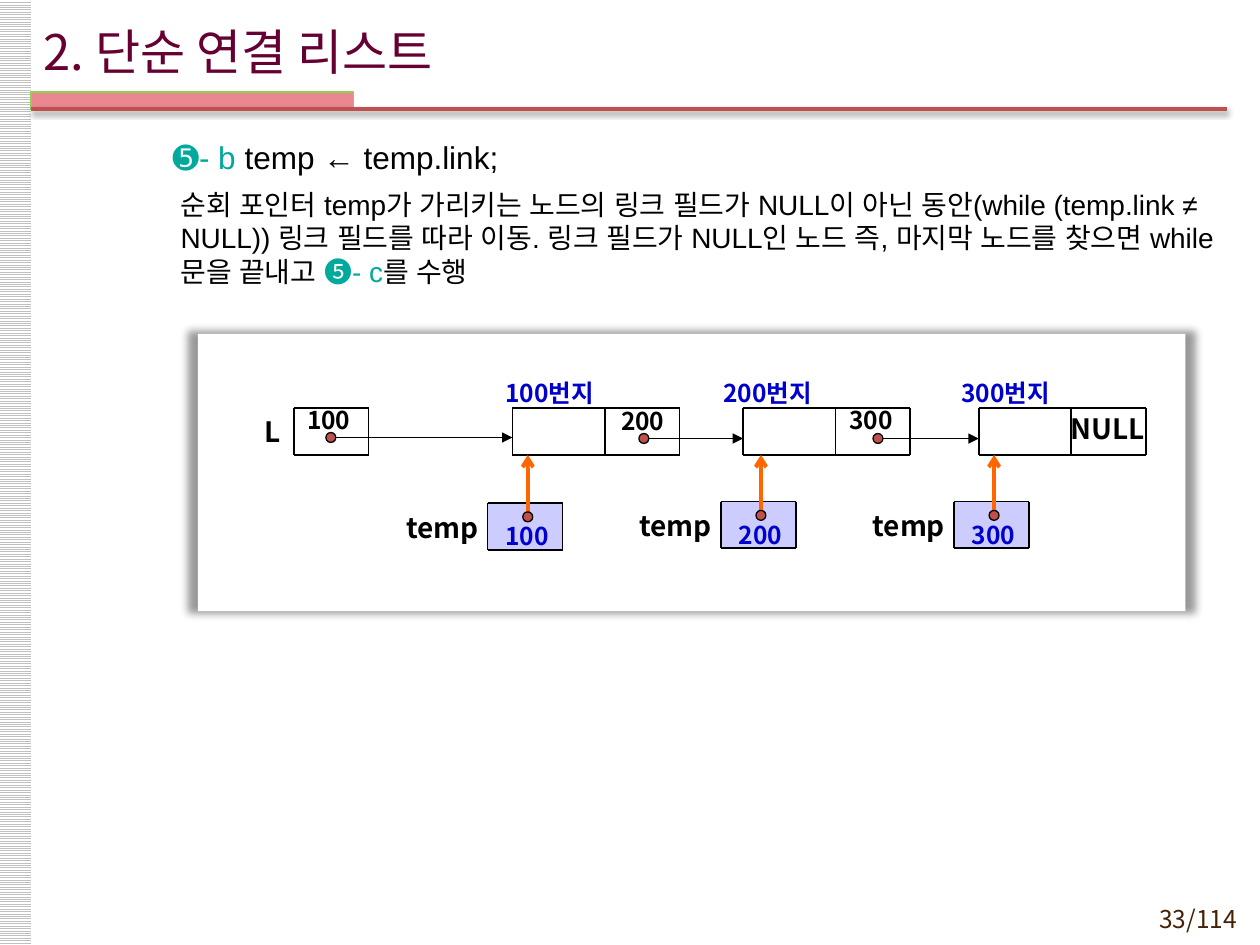
"""Builds the slide that follows temp along a singly linked list."""
from dataclasses import dataclass

from lxml import etree
from pptx import Presentation, util as u
from pptx.dml.color import RGBColor
from pptx.enum import dml, shapes, text
from pptx.oxml.ns import qn


@dataclass(frozen=True)
class Theme:
    korean: str = "Noto Sans CJK KR"
    latin: str = "Arial"
    black: str = "000000"
    white: str = "FFFFFF"
    title: str = "660033"
    page: str = "452103"
    accent: str = "00A99D"
    address: str = "0000CC"
    pointer: str = "FF6600"
    dot: str = "C0504D"
    rule: str = "C0504D"
    tab: str = "EA8892"
    tab_edge: str = "92D050"
    temp: str = "CCCCFF"
    stripe: str = "C0C0C0"
    title_size: int = 28
    step_size: int = 18
    body_size: int = 16
    value_size: int = 14


def rgb(value):
    return RGBColor.from_string(value)


def add_run(paragraph, words, *, size, color, font, bold=False):
    run = paragraph.add_run()
    run.text = words
    run.font.size, run.font.bold, run.font.name = u.Pt(size), bold, font
    run.font.color.rgb = rgb(color)
    run.font._element.set("kern", "0")
    etree.SubElement(run.font._element, qn("a:ea"), typeface=font)


def add_shadow(shape, alpha, **settings):
    effects = shape._element.spPr.find(qn("a:effectLst"))
    outer = etree.SubElement(effects, qn("a:outerShdw"), rotWithShape="0", **settings)
    color = etree.SubElement(outer, qn("a:srgbClr"), val="000000")
    etree.SubElement(color, qn("a:alpha"), val=str(alpha * 1000))


class ListSlide:
    DOT = 0.2
    NODE_TOP, NODE_WIDTH, CELL_WIDTH, HEIGHT = 8.23, 3.37, 1.51, 0.94

    def __init__(self, slide, theme):
        self.slide, self.theme = slide, theme

    def shape(self, left, top, width, height, fill, edge=None, weight=0.75,
              kind=shapes.MSO_SHAPE.RECTANGLE):
        part = self.slide.shapes.add_shape(kind, *map(u.Cm, (left, top, width, height)))
        part.shadow.inherit = False
        part.fill.solid()
        part.fill.fore_color.rgb = rgb(fill)
        if edge:
            part.line.color.rgb = rgb(edge)
            part.line.width = u.Pt(weight)
        else:
            part.line.fill.background()
        return part

    def line(self, x1, y1, x2, y2, color, weight, head=None):
        part = self.slide.shapes.add_connector(
            shapes.MSO_CONNECTOR.STRAIGHT, *map(u.Cm, (x1, y1, x2, y2)))
        part.line.color.rgb = rgb(color)
        part.line.width = u.Pt(weight)
        etree.SubElement(part._element.spPr, qn("a:effectLst"))
        if head:
            etree.SubElement(part.line._get_or_add_ln(), qn("a:tailEnd"), type=head)
        return part

    def cells(self, top, *edges):
        bottom = top + self.HEIGHT
        for y in (top, bottom):
            self.line(edges[0], y, edges[-1], y, self.theme.black, 1)
        for x in edges:
            self.line(x, top, x, bottom, self.theme.black, 1)

    def frame(self, left, top, width, height, margins=(0.25, 0.13, 0.25, 0.13),
              anchor=text.MSO_ANCHOR.MIDDLE):
        box = self.slide.shapes.add_textbox(*map(u.Cm, (left, top, width, height)))
        area = box.text_frame
        area.word_wrap, area.vertical_anchor = True, anchor
        (area.margin_left, area.margin_top,
         area.margin_right, area.margin_bottom) = map(u.Cm, margins)
        return area

    def label(self, words, left, top, width, height, *, align=text.PP_ALIGN.LEFT,
              margins=(0.25, 0, 0, 0), **style):
        paragraph = self.frame(left, top, width, height, margins).paragraphs[0]
        paragraph.alignment = align
        add_run(paragraph, words, font=self.theme.korean, **style)

    def value(self, words, left, top, color, width=1.42):
        self.label(words, left, top, width, 0.46, size=self.theme.value_size,
                   color=color, bold=True)

    def name(self, words, left, top, width, align=text.PP_ALIGN.RIGHT):
        self.label(words, left, top, width, 0.95, align=align, margins=(0, 0, 0, 0.13),
                   size=self.theme.body_size, color=self.theme.black, bold=True)

    def dot(self, left, top):
        self.shape(left, top, self.DOT, self.DOT, self.theme.dot, self.theme.black,
                   kind=shapes.MSO_SHAPE.OVAL)

    def link(self, dot_left, target, y=8.84):
        self.line(dot_left + self.DOT, y, target, y, self.theme.black, 0.75, "triangle")
        self.dot(dot_left, y - self.DOT / 2)

    def head(self, first_node):
        left = 5.92
        self.cells(self.NODE_TOP, left, left + self.CELL_WIDTH)
        self.name("L", left - 0.79, 8.28, 0.53)
        self.value("100", left + 0.02, self.NODE_TOP, self.theme.black)
        self.link(left + 0.65, first_node, 8.82)

    def node(self, left, address, address_left):
        self.cells(self.NODE_TOP, left, left + 1.86, left + self.NODE_WIDTH)
        self.value(f"{address}번지", address_left, 7.68, self.theme.address, 2.44)

    def temp(self, left, top, address):
        center = left + 0.81
        self.shape(left + 0.02, top, 1.47, 0.92, self.theme.temp, self.theme.temp)
        self.name("temp", left - 1.83, top + 0.08, 1.65)
        self.cells(top, left, left + self.CELL_WIDTH)
        self.line(center, top + 0.18, center, self.NODE_TOP + self.HEIGHT,
                  self.theme.pointer, 2.25, "arrow")
        self.dot(center - self.DOT / 2, top + 0.18)
        self.value(address, left + 0.11, top + 0.43, self.theme.address)

    def background(self):
        t = self.theme
        stripe = self.shape(-0.03, 0, 0.66, 19.05, t.white)
        stripe.fill.patterned()
        stripe.fill.pattern = dml.MSO_PATTERN.LIGHT_HORIZONTAL
        stripe.fill.fore_color.rgb, stripe.fill.back_color.rgb = rgb(t.stripe), rgb(t.white)
        self.label("33/114", 22.5, 18.15, 2.69, 0.74, align=text.PP_ALIGN.RIGHT,
                   margins=(0.25, 0, 0.25, 0), size=t.value_size, color=t.page)
        self.shape(0.63, 1.85, 6.5, 0.36, t.tab, t.tab_edge, 1)
        rule = self.line(0.63, 2.2, 24.74, 2.2, t.rule, 2)
        add_shadow(rule, 38, blurRad="40000", dist="20000", dir="5400000")
        self.label("2. 단순 연결 리스트", 0.63, 0.23, 21, 1.6, size=t.title_size, color=t.title)

    def explanation(self):
        t = self.theme
        step = [("➎- b ", t.accent), ("temp ← temp.link;", t.black)]
        detail = [("순회 포인터 temp가 가리키는 노드의 링크 필드가 NULL이 아닌 동안"
                   "(while (temp.link ≠ NULL)) 링크 필드를 따라 이동. 링크 필드가 NULL인 "
                   "노드 즉, 마지막 노드를 찾으면 while 문을 끝내고 ", t.black),
                  ("➎- c", t.accent), ("를 수행", t.black)]
        area = self.frame(0.64, 2.58, 24.13, 15.88, anchor=text.MSO_ANCHOR.TOP)
        first, second = area.paragraphs[0], area.add_paragraph()
        first.line_spacing, second.space_before = 1.1, u.Pt(3.5)
        for paragraph, runs, size, indent in ((first, step, t.step_size, -0.16),
                                              (second, detail, t.body_size, 0)):
            paragraph.space_after = u.Pt(3)
            properties = paragraph._p.get_or_add_pPr()
            properties.set("marL", str(u.Cm(2.75)))
            properties.set("indent", str(u.Cm(indent)))
            for words, color in runs:
                add_run(paragraph, words, size=size, color=color, font=t.latin)

    def diagram(self):
        panel = self.shape(3.99, 6.73, 19.91, 5.59, self.theme.white)
        add_shadow(panel, 40, blurRad="63500", sx="102000", sy="102000", algn="ctr")
        nodes = first, second, third = 10.33, 14.98, 19.73
        addresses = "100", "200", "300"
        self.head(first)
        for left, address, address_left in zip(nodes, addresses, (9.94, 14.33, 19.13)):
            self.node(left, address, address_left)
        for words, left, top, dot_left, target in (("200", 12.27, 8.25, 12.88, second),
                                                   ("300", 16.87, 8.23, 17.6, third)):
            self.value(words, left, top, self.theme.black)
            self.link(dot_left, target)
        self.name("NULL", third + 1.77, self.NODE_TOP, 1.65, text.PP_ALIGN.CENTER)
        for step, (address, top) in enumerate(zip(addresses, (10.14, 10.11, 10.11))):
            self.temp(9.83 + 4.7 * step, top, address)


def main():
    deck = Presentation()
    deck.slide_width, deck.slide_height = u.Cm(25.4), u.Cm(19.05)
    page = ListSlide(deck.slides.add_slide(deck.slide_layouts[6]), Theme())
    page.background()
    page.explanation()
    page.diagram()
    deck.save("out.pptx")


if __name__ == "__main__":
    main()
